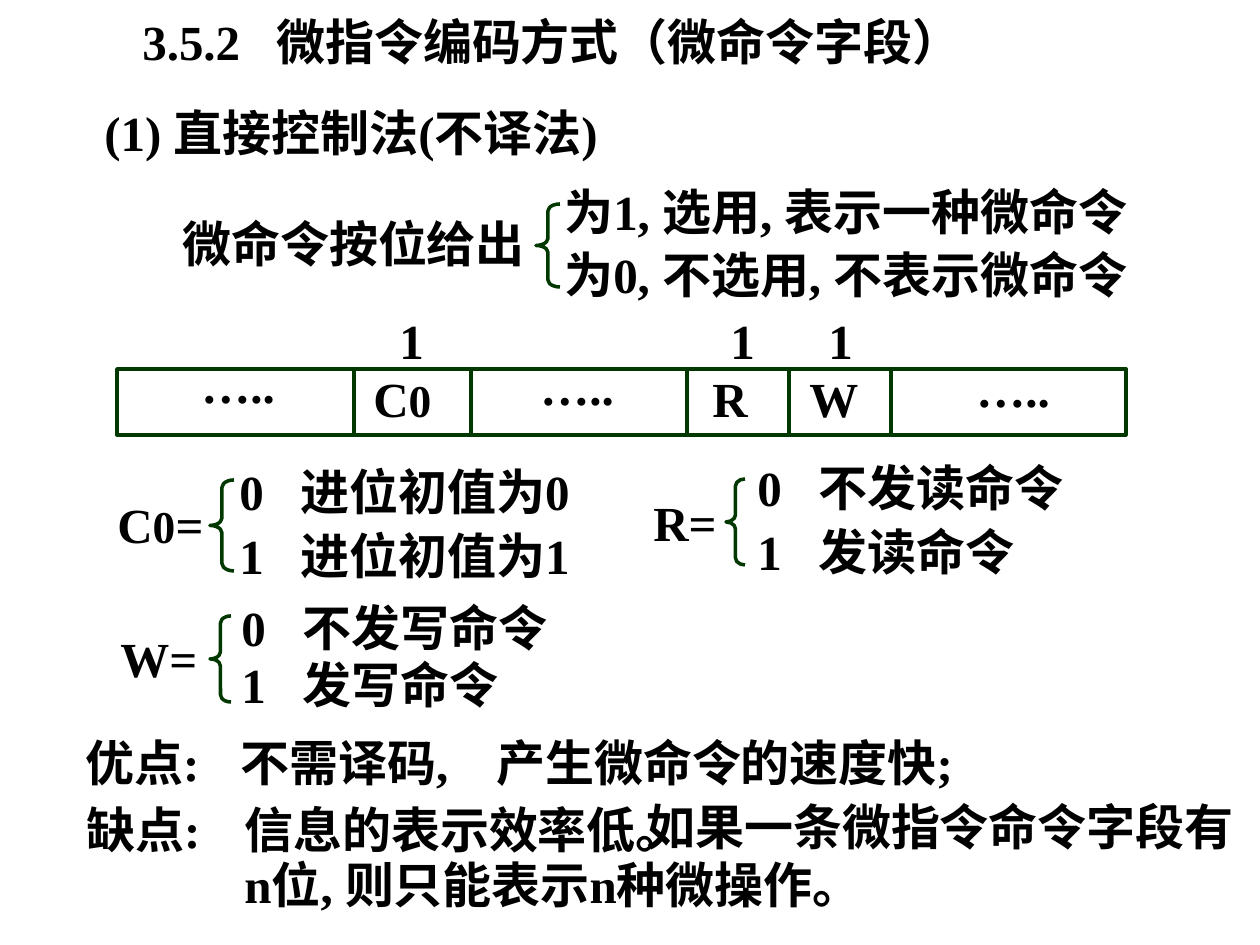
from dataclasses import dataclass

import pptx
import pptx.dml.color
import pptx.enum.shapes
import pptx.enum.text
import pptx.oxml
import pptx.oxml.ns
import pptx.util
from lxml import etree

PX = 914400 // 126
BLACK = pptx.dml.color.RGBColor(0x00, 0x00, 0x00)
GREEN = pptx.dml.color.RGBColor(0x00, 0x38, 0x00)
FONT = "Times New Roman"
SIZE, SMALL = 28, 26
LINE = 2
KIND = pptx.enum.shapes.MSO_SHAPE
ANCHOR = pptx.enum.text.MSO_ANCHOR


@dataclass(frozen=True)
class Run:
    text: str
    size: int = SIZE


@dataclass(frozen=True)
class Note:
    x: int
    y: int
    w: int
    h: int
    lines: tuple[tuple[Run, ...], ...]
    tabs: tuple[int, ...] = ()
    indent: int = 0
    gap: float = 0
    lead: float = 1
    first: float = 1


@dataclass(frozen=True)
class Brace:
    x: int
    y: int
    w: int
    h: int
    bend: float


def plain(*texts: str) -> tuple[tuple[Run, ...], ...]:
    return tuple((Run(text),) for text in texts)


def px(*vals: int) -> list[int]:
    return [val * PX for val in vals]


def fill_text(frame, note: Note) -> None:
    frame.word_wrap = True
    frame.vertical_anchor = ANCHOR.TOP
    for i, runs in enumerate(note.lines):
        para = frame.paragraphs[0] if i == 0 else frame.add_paragraph()
        para.alignment = pptx.enum.text.PP_ALIGN.LEFT
        lead = note.lead if i else note.first
        if lead != 1:
            para.line_spacing = lead
        if i and note.gap:
            para.space_before = pptx.util.Pt(note.gap)
        props = para._p.get_or_add_pPr()
        if note.indent:
            props.set("indent", str(note.indent * PX))
        if note.tabs:
            stops = etree.SubElement(props, pptx.oxml.ns.qn("a:tabLst"))
            for pos in note.tabs:
                etree.SubElement(stops, pptx.oxml.ns.qn("a:tab"),
                                 pos=str(pos * PX), algn="l")
        for part in runs:
            run = para.add_run()
            run.text = part.text
            run.font.name = FONT
            run.font.size = pptx.util.Pt(part.size)
            run.font.bold = True
            run.font.color.rgb = BLACK


def add_note(slide, note: Note) -> None:
    box = slide.shapes.add_textbox(*px(note.x, note.y, note.w, note.h))
    fill_text(box.text_frame, note)


def add_frame(slide, kind, x: int, y: int, w: int, h: int):
    shape = slide.shapes.add_shape(kind, *px(x, y, w, h))
    shape.shadow.inherit = False
    shape.fill.background()
    shape.line.color.rgb = GREEN
    shape.line.width = pptx.util.Pt(LINE)
    return shape


def add_brace(slide, brace: Brace) -> None:
    shape = add_frame(slide, KIND.LEFT_BRACE, brace.x, brace.y, brace.w, brace.h)
    shape.adjustments[0] = brace.bend
    shape.adjustments[1] = 0.5


def add_rule(slide, x: int, y: int, h: int) -> None:
    rule = slide.shapes.add_connector(
        pptx.enum.shapes.MSO_CONNECTOR.STRAIGHT, *px(x, y, x, y + h))
    rule.line.color.rgb = GREEN
    rule.line.width = pptx.util.Pt(LINE)
    etree.SubElement(rule._element.spPr, pptx.oxml.ns.qn("a:effectLst"))


CARRY = (Run("C"), Run("0", SMALL), Run("="))
NOTES = (
    # Headings
    Note(130, 5, 987, 72, plain("3.5.2\t微指令编码方式（微命令字段）"), (134,)),
    Note(92, 96, 595, 72, plain("(1) 直接控制法(不译法)")),
    # Meaning of each bit
    Note(170, 207, 406, 72, plain("微命令按位给出")),
    Note(552, 175, 651, 72, plain("为1, 选用, 表示一种微命令")),
    Note(552, 238, 649, 72, plain("为0, 不选用, 不表示微命令")),
    # Field values
    Note(105, 488, 158, 72, (CARRY,)),
    Note(227, 455, 397, 136, plain("0\t进位初值为0", "1\t进位初值为1"), (61,), gap=3),
    Note(641, 486, 158, 72, plain("R=")),
    Note(745, 451, 360, 136, plain("0\t不发读命令", "1\t发读命令"), (61,), gap=3),
    Note(108, 622, 158, 72, plain("W=")),
    Note(229, 591, 396, 130, plain("0\t不发写命令", "1\t发写命令"), (61,),
         gap=1.5, lead=0.95),
    # Pros and cons
    Note(73, 726, 175, 72, plain("优点:")),
    Note(228, 726, 897, 72, plain("不需译码,\t产生微命令的速度快;"), (256,)),
    Note(74, 793, 175, 72, plain("缺点:")),
    Note(232, 793, 559, 72, plain("信息的表示效率低。")),
    Note(232, 790, 1028, 130,
         plain("如果一条微指令命令字段有n位, 则只能表示n种微操作。"), indent=402),
    # Bits above the word
    Note(387, 304, 580, 72, plain("1\t1\t1"), (331, 429)),
)
BRACES = (
    Brace(536, 204, 24, 83, 0.29),
    Brace(210, 480, 24, 91, 0.31),
    Brace(726, 479, 19, 86, 0.37),
    Brace(210, 616, 21, 86, 0.34),
)
WORD = Note(117, 369, 1009, 66,
            ((Run("\tC"), Run("0", SMALL), Run("\tR\tW")),),
            (244, 583, 680), first=0.9)
RULES = ((354, 370), (471, 370), (687, 369), (789, 369), (891, 370))
DOTS = ((189, 360), (528, 362), (964, 364))


def main() -> None:
    deck = pptx.Presentation()
    deck.slide_width = pptx.util.Inches(10)
    deck.slide_height = pptx.util.Inches(7.5)
    slide = deck.slides.add_slide(deck.slide_layouts[6])

    for note in NOTES:
        add_note(slide, note)
    for brace in BRACES:
        add_brace(slide, brace)

    # Instruction word
    word = add_frame(slide, KIND.RECTANGLE, WORD.x, WORD.y, WORD.w, WORD.h)
    fill_text(word.text_frame, WORD)
    for x, y in RULES:
        add_rule(slide, x, y, 67)
    for x, y in DOTS:
        add_note(slide, Note(x, y, 135, 59, plain("….."), first=0.8))

    deck.save("out.pptx")


if __name__ == "__main__":
    main()
